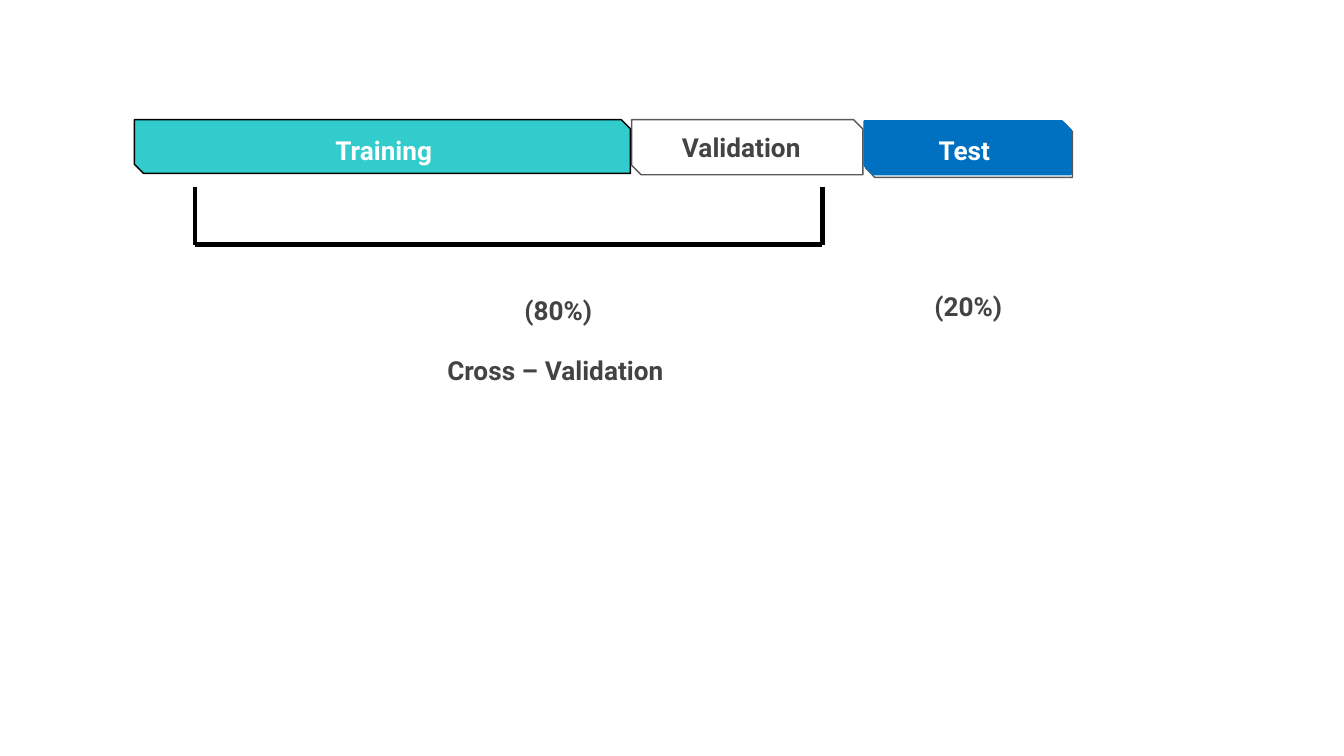
from pptx import Presentation
from pptx.dml.color import RGBColor
from pptx.enum.shapes import MSO_CONNECTOR as Connector, MSO_SHAPE as Shape
from pptx.enum.text import MSO_ANCHOR as Anchor, MSO_AUTO_SIZE as AutoSize, PP_ALIGN as Align
from pptx.oxml.ns import qn
from pptx.util import Inches, Pt
from lxml.etree import SubElement

DARK_GREY = "434343"
OUTLINE_GREY = "595959"
WHITE = "FFFFFF"
BLACK = "000000"
BLUE = "0070C0"
TEAL = "33CCCC"


def color(value):
    """Return the colour for a hex string."""
    return RGBColor.from_string(value)


def add_segment(slide, left, top, width, height, line, fill=None):
    """Add one bar segment with two snipped corners."""
    shape = slide.shapes.add_shape(
        Shape.SNIP_2_DIAG_RECTANGLE, Inches(left), Inches(top), Inches(width), Inches(height)
    )
    shape.shadow.inherit = False
    shape.adjustments[0] = 0
    shape.adjustments[1] = 0.17
    if fill:
        shape.fill.solid()
        shape.fill.fore_color.rgb = color(fill)
    else:
        shape.fill.background()
    shape.line.color.rgb = color(line)
    shape.line.width = Pt(0.75)


def add_text(slide, text, left, top, width, height, font_color=DARK_GREY, align=Align.CENTER):
    """Add a bold one-line text box and return its frame."""
    box = slide.shapes.add_textbox(Inches(left), Inches(top), Inches(width), Inches(height))
    frame = box.text_frame
    frame.word_wrap = True
    paragraph = frame.paragraphs[0]
    paragraph.alignment = align
    run = paragraph.add_run()
    run.text = text
    run.font.name = "Roboto"
    run.font.size = Pt(14)
    run.font.bold = True
    run.font.color.rgb = color(font_color)
    return frame


def add_segment_label(slide, text, left, top, width, height, font_color):
    """Add a bottom-anchored label over a bar segment."""
    frame = add_text(slide, text, left, top, width, height, font_color)
    frame.vertical_anchor = Anchor.BOTTOM
    frame.margin_left = frame.margin_right = Inches(0.1)
    frame.margin_top = frame.margin_bottom = Inches(0.1)


def add_caption(slide, text, left, top, align=Align.CENTER):
    """Add a caption below the bar."""
    frame = add_text(slide, text, left, top, 2.93, 0.34, align=align)
    frame.auto_size = AutoSize.SHAPE_TO_FIT_TEXT


def add_bracket(slide, left, right, top, bottom):
    """Add a bracket, open at the top, from straight lines."""
    sides = [
        (left, top, left, bottom),
        (left, bottom, right, bottom),
        (right, top, right, bottom),
    ]
    for side in sides:
        connector = slide.shapes.add_connector(
            Connector.STRAIGHT, *(Inches(value) for value in side)
        )
        connector.line.color.rgb = color(BLACK)
        connector.line.width = Pt(2.25)
        SubElement(connector._element.spPr, qn("a:effectLst"))


def main():
    """Build the data split slide."""
    presentation = Presentation()
    presentation.slide_width = Inches(10)
    presentation.slide_height = Inches(10) * 9 // 16
    slide = presentation.slides.add_slide(presentation.slide_layouts[6])

    add_segment(slide, 4.7, 0.89, 1.72, 0.41, OUTLINE_GREY)
    add_segment(slide, 1, 0.89, 3.69, 0.4, BLACK, TEAL)
    add_segment_label(slide, "Validation", 4.72, 0.91, 1.59, 0.4, DARK_GREY)
    add_segment_label(slide, "Training", 1.03, 0.91, 3.65, 0.42, WHITE)
    add_segment(slide, 6.44, 0.91, 1.54, 0.41, OUTLINE_GREY)
    add_segment(slide, 6.43, 0.9, 1.54, 0.4, BLUE, BLUE)
    add_segment_label(slide, "Test", 6.38, 0.93, 1.59, 0.4, WHITE)

    add_bracket(slide, 1.45, 6.12, 1.39, 1.82)
    add_caption(slide, "Cross – Validation", 3.23, 2.59, Align.LEFT)
    add_caption(slide, "(20%)", 5.74, 2.11)
    add_caption(slide, "(80%)", 2.69, 2.14)
    presentation.save("out.pptx")


if __name__ == "__main__":
    main()
